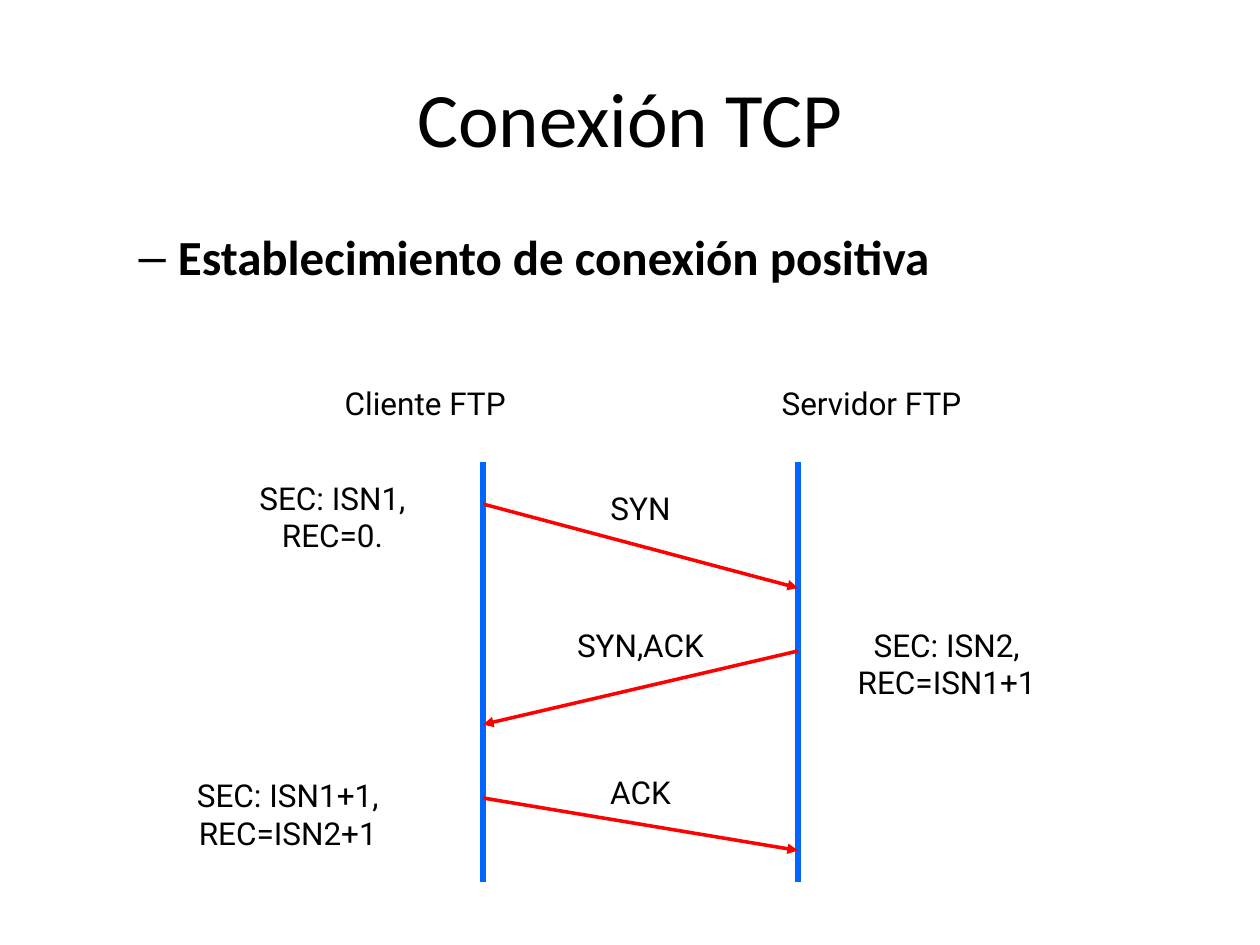
from dataclasses import dataclass

from lxml import etree
from pptx import Presentation
from pptx.dml.color import RGBColor
from pptx.enum import shapes, text
from pptx.oxml.ns import qn
from pptx.util import Pt

BLACK = RGBColor(0x00, 0x00, 0x00)
BLUE = RGBColor(0x00, 0x66, 0xFF)
RED = RGBColor(0xFF, 0x00, 0x00)

CLIENT_X, SERVER_X = 276, 456
LIFELINE_TOP, LIFELINE_BOTTOM = 264, 504
LINE_HEIGHT, TWO_LINES = 28.8, 50.4


@dataclass(frozen=True)
class Label:
    text: str
    left: float
    top: float
    width: float
    height: float = LINE_HEIGHT


@dataclass(frozen=True)
class Message:
    name: str
    start_x: float
    start_y: float
    end_x: float
    end_y: float
    name_top: float


HOSTS = [
    Label("Cliente FTP", 180, 216, 126),
    Label("Servidor FTP", 438, 216, 120),
]
MESSAGES = [
    Message("SYN", CLIENT_X, 288, SERVER_X, 336, 276),
    Message("SYN,ACK", SERVER_X, 372, CLIENT_X, 414, 354),
    Message("ACK", CLIENT_X, 456, SERVER_X, 486, 438),
]
SEQUENCES = [
    Label("SEC: ISN1, REC=0.", 126, 270, 128, TWO_LINES),
    Label("SEC: ISN2, REC=ISN1+1", 456, 354, 170, TWO_LINES),
    Label("SEC: ISN1+1, REC=ISN2+1", 65, 440, 199, TWO_LINES),
]


def fill_placeholder(sp, content: str, box: tuple, size: int, level: int = 0):
    sp.left, sp.top, sp.width, sp.height = (Pt(v) for v in box)
    p = sp.text_frame.paragraphs[0]
    p.text, p.level = content, level
    p.font.size, p.font.name = Pt(size), "Calibri"
    p.font.color.rgb = BLACK
    return p


def add_label(s, label: Label) -> None:
    sp = s.shapes.add_textbox(Pt(label.left), Pt(label.top), Pt(label.width), Pt(label.height))
    tf = sp.text_frame
    tf.word_wrap = True
    tf.auto_size = text.MSO_AUTO_SIZE.SHAPE_TO_FIT_TEXT
    p = tf.paragraphs[0]
    p.text = label.text
    p.alignment = text.PP_ALIGN.CENTER
    p.font.size, p.font.name = Pt(18), "Roboto"
    p.font.color.rgb = BLACK


def add_line(s, x1: float, y1: float, x2: float, y2: float,
             color: RGBColor, width: float, arrow: bool = False) -> None:
    sp = s.shapes.add_connector(shapes.MSO_CONNECTOR.STRAIGHT, Pt(x1), Pt(y1), Pt(x2), Pt(y2))
    sp.line.color.rgb = color
    sp.line.width = Pt(width)
    if arrow:
        etree.SubElement(sp.line._get_or_add_ln(), qn("a:tailEnd"), type="triangle")
    etree.SubElement(sp._element.spPr, qn("a:effectLst"))


def main() -> None:
    prs = Presentation()
    prs.slide_width, prs.slide_height = Pt(720), Pt(540)
    s = prs.slides.add_slide(prs.slide_layouts[1])

    fill_placeholder(s.shapes.title, "Conexión TCP", (36, 21.6, 648, 90), 44)
    p = fill_placeholder(s.placeholders[1], "Establecimiento de conexión positiva",
                         (36, 126, 648, 356.4), 28, level=1)
    p.font.bold = True

    for x in (CLIENT_X, SERVER_X):
        add_line(s, x, LIFELINE_TOP, x, LIFELINE_BOTTOM, BLUE, 3)
    for m in MESSAGES:
        add_line(s, m.start_x, m.start_y, m.end_x, m.end_y, RED, 2, arrow=True)
        add_label(s, Label(m.name, 294, m.name_top, 144))
    for label in HOSTS + SEQUENCES:
        add_label(s, label)

    prs.save("out.pptx")


if __name__ == "__main__":
    main()
